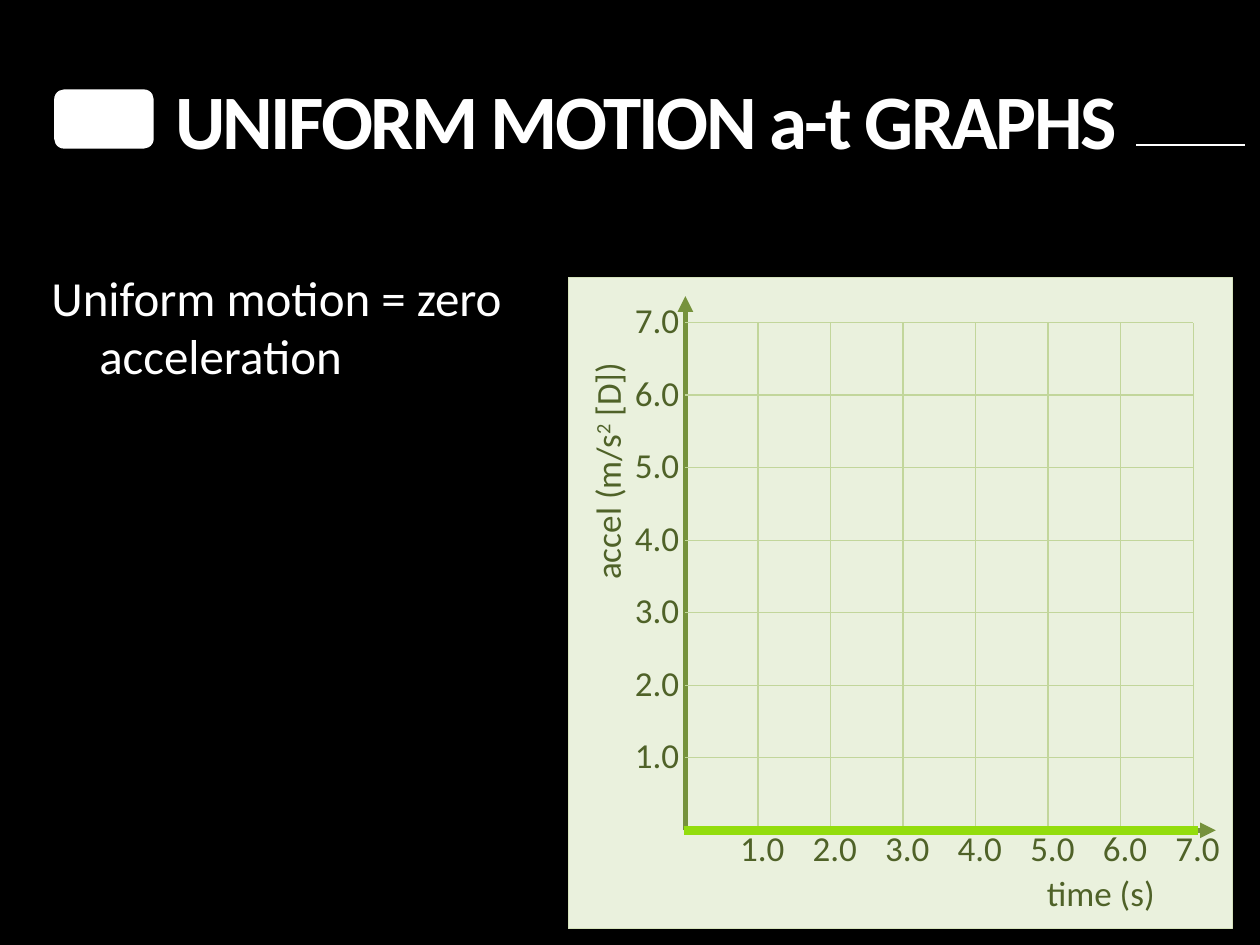
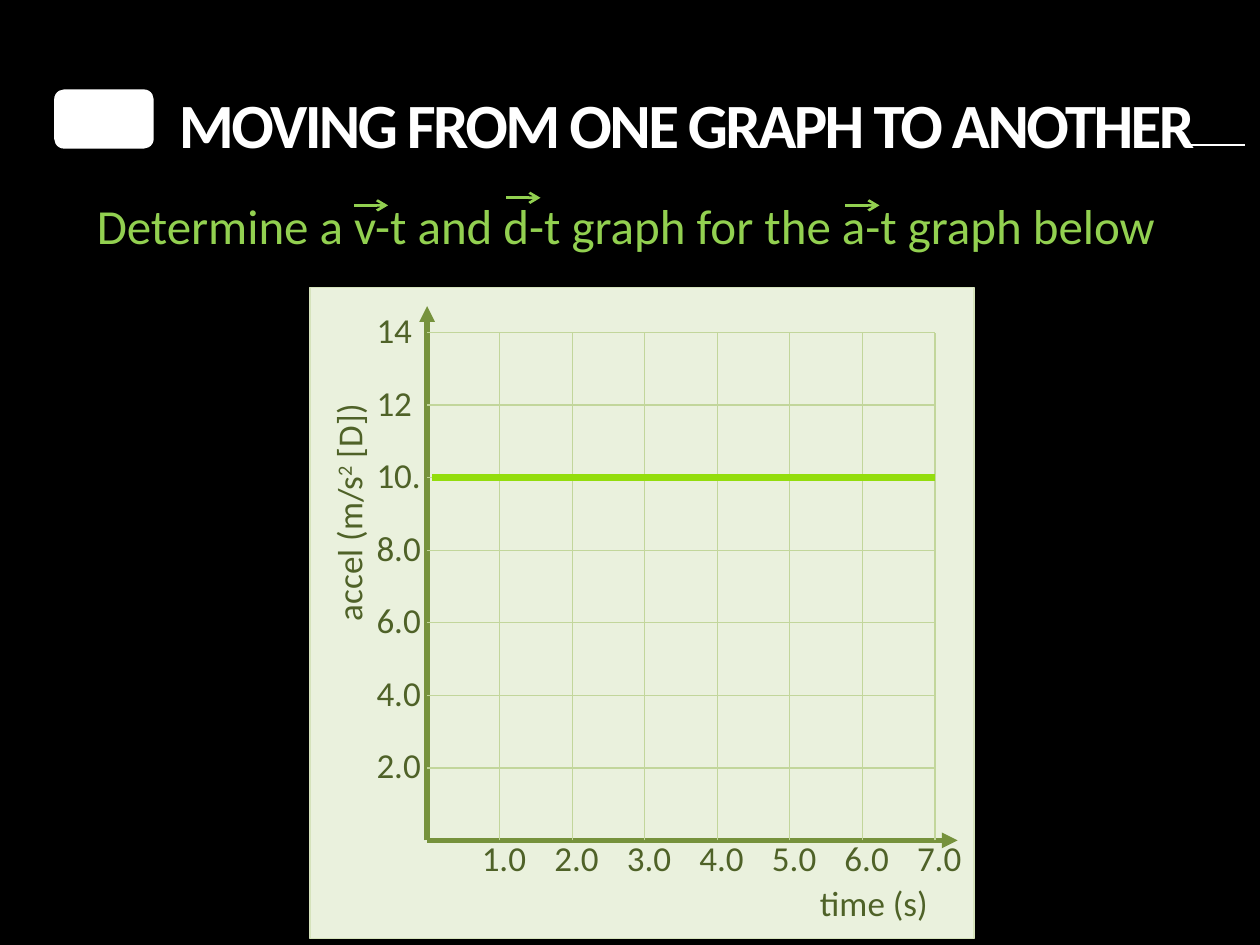
import dataclasses

import lxml.etree
import pptx
import pptx.dml.color
import pptx.enum.shapes
import pptx.enum.text
import pptx.oxml.ns
import pptx.util

Inches = pptx.util.Inches
Pt = pptx.util.Pt


@dataclasses.dataclass(frozen=True)
class Theme:
    """Colours, type sizes and font shared by the slides."""
    font: str = "Calibri"
    background: str = "000000"
    light: str = "FFFFFF"
    prompt: str = "92D050"
    panel: str = "EAF1DD"
    panel_edge: str = "D6E3BC"
    axis: str = "76923C"
    grid: str = "C2D69B"
    label: str = "4F6228"
    series: str = "93DD0D"
    title_size: int = 44
    small_title_size: int = 36
    body_size: int = 28
    label_size: int = 20


THEME = Theme()


def rgb(value):
    """Turn a hex string into a colour."""
    return pptx.dml.color.RGBColor.from_string(value)


def add_run(p, text, size, color):
    """Append a styled run to a paragraph."""
    r = p.add_run()
    r.text = text
    r.font.name = THEME.font
    r.font.size = Pt(size)
    r.font.color.rgb = rgb(color)
    return r


def add_text(slide, box, text, size, color):
    """Add a wrapping text box and return it with its paragraph and run."""
    sp = slide.shapes.add_textbox(*map(Inches, box))
    sp.text_frame.word_wrap = True
    p = sp.text_frame.paragraphs[0]
    return sp, p, add_run(p, text, size, color)


def add_block(slide, kind, box, fill, edge=None):
    """Add a filled preset shape with an optional thin edge."""
    sp = slide.shapes.add_shape(kind, *map(Inches, box))
    sp.shadow.inherit = False
    sp.fill.solid()
    sp.fill.fore_color.rgb = rgb(fill)
    if edge:
        sp.line.color.rgb = rgb(edge)
        sp.line.width = Pt(0.75)
    else:
        sp.line.fill.background()


def add_line(slide, start, end, color, width, head=None):
    """Draw a straight connector, with an arrowhead at its end if named."""
    line = slide.shapes.add_connector(
        pptx.enum.shapes.MSO_CONNECTOR.STRAIGHT, *map(Inches, (*start, *end)))
    line.line.color.rgb = rgb(color)
    line.line.width = Pt(width)
    qn = pptx.oxml.ns.qn
    if head:
        ln = line.line._get_or_add_ln()
        lxml.etree.SubElement(ln, qn("a:tailEnd"), type=head)
    lxml.etree.SubElement(line._element.spPr, qn("a:effectLst"))


def add_slide(prs):
    """Add a blank slide with the dark background."""
    slide = prs.slides.add_slide(prs.slide_layouts[6])
    slide.background.fill.solid()
    slide.background.fill.fore_color.rgb = rgb(THEME.background)
    return slide


def add_title(slide, box, text, size, indent, rule_start):
    """Place the title with its white tab and trailing rule."""
    left, top, width, height = box
    sp, p, r = add_text(slide, box, text, size, THEME.light)
    tf = sp.text_frame
    tf.vertical_anchor = pptx.enum.text.MSO_ANCHOR.BOTTOM
    tf.margin_left = Inches(0.1 + indent)
    tf.margin_right = 0
    tf.margin_bottom = Inches(0.05 + (THEME.title_size - size) * 0.25 / 72)
    r.font.bold = True
    r._r.get_or_add_rPr().set("spc", "-150")
    add_block(slide, pptx.enum.shapes.MSO_SHAPE.ROUNDED_RECTANGLE,
              (left - 0.32, top + 0.19, 0.79, 0.47), THEME.light)
    rule = top + 0.63
    add_line(slide, (rule_start, rule), (left + 9.13, rule), THEME.light, 0.75)


def add_label(slide, box, text):
    """Add one graph label and return its shape and paragraph."""
    sp, p, r = add_text(slide, box, text, THEME.label_size, THEME.label)
    p.space_after = Pt(10)
    return sp, p


def add_graph(slide, box, y_labels, y_title_bottom, x_title_left,
              level, span, series_width):
    """Draw the acceleration-time graph; level counts grid rows up from zero."""
    left, top, width, height = box
    x0, y0 = left + 0.93, top + 4.39
    side = 4.03
    step = side / 7
    add_block(slide, pptx.enum.shapes.MSO_SHAPE.RECTANGLE, box,
              THEME.panel, THEME.panel_edge)
    for tip in ((x0, top + 0.15), (x0 + 4.21, y0)):
        add_line(slide, (x0, y0), tip, THEME.axis, 3, "triangle")
    for i, y_label in enumerate(y_labels, 1):
        x, y = x0 + i * step, y0 - i * step
        add_line(slide, (x, y0), (x, y0 - side), THEME.grid, 0.75)
        add_line(slide, (x0, y), (x0 + side, y), THEME.grid, 0.75)
        add_label(slide, (left + 0.43, y - 0.24, 0.57, 0.37), y_label)
        add_label(slide, (x - 0.24, y0 - 0.08, 0.57, 0.37), f"{i}.0")
    add_label(slide, (left + x_title_left, top + 4.67, 1.33, 0.45), "time (s)")

    length, depth = 2.3, 0.46
    sp, p = add_label(
        slide, (left + 0.32 - length / 2,
                top + y_title_bottom - (length + depth) / 2, length, depth),
        "accel (m/s")
    sp.rotation = 270
    power = add_run(p, "2", THEME.label_size, THEME.label)
    power._r.get_or_add_rPr().set("baseline", "30000")
    add_run(p, " [D])", THEME.label_size, THEME.label)

    y = y0 - level * step
    start, end = span
    add_line(slide, (x0 + start, y), (x0 + end, y), THEME.series, series_width)


def add_statement(slide, box, text):
    """Place the body statement with a hanging indent."""
    sp, p, r = add_text(slide, box, text, THEME.body_size, THEME.light)
    p.space_before = Pt(THEME.body_size * 0.2)
    pPr = p._p.get_or_add_pPr()
    pPr.set("marL", str(Inches(0.38)))
    pPr.set("indent", str(Inches(-0.38)))


def add_prompt(slide, box, text, arrows):
    """Place the task line and the vector arrows over its letters."""
    left, top, width, height = box
    sp, p, r = add_text(slide, box, text, THEME.body_size, THEME.prompt)
    p.space_before = Pt(THEME.body_size * 0.2)
    for dx, dy in arrows:
        x, y = left + dx, top + dy
        add_line(slide, (x, y), (x + 0.27, y), THEME.prompt, 1.5, "arrow")


def main():
    """Build both slides and save the presentation."""
    prs = pptx.Presentation()
    prs.slide_width, prs.slide_height = Inches(10), Inches(7.5)
    title_box = (0.75, 0.52, 9.21, 0.84)

    slide = add_slide(prs)
    add_title(slide, title_box, "UNIFORM MOTION a-t GRAPHS",
              THEME.title_size, 0.54, 9.02)
    add_graph(slide, (4.51, 2.2, 5.27, 5.17),
              [f"{n}.0" for n in range(1, 8)], 2.5, 3.7, 0, (-0.01, 4.07), 5)
    add_statement(slide, (0.31, 2.07, 3.9, 1.05),
                  "Uniform motion = zero acceleration")

    slide = add_slide(prs)
    add_title(slide, title_box, "MOVING FROM ONE GRAPH TO ANOTHER",
              THEME.small_title_size, 0.57, 9.45)
    add_graph(slide, (2.46, 2.28, 5.27, 5.17),
              ["2.0", "4.0", "6.0", "8.0", "10.", "12", "14"],
              2.75, 3.95, 5, (0.04, 4.03), 4)
    add_prompt(slide, (0.67, 1.5, 8.87, 0.71),
               "Determine a v-t and d-t graph for the a-t graph below",
               ((2.14, 0.13), (3.35, 0.07), (6.04, 0.13)))

    prs.save("out.pptx")


main()
